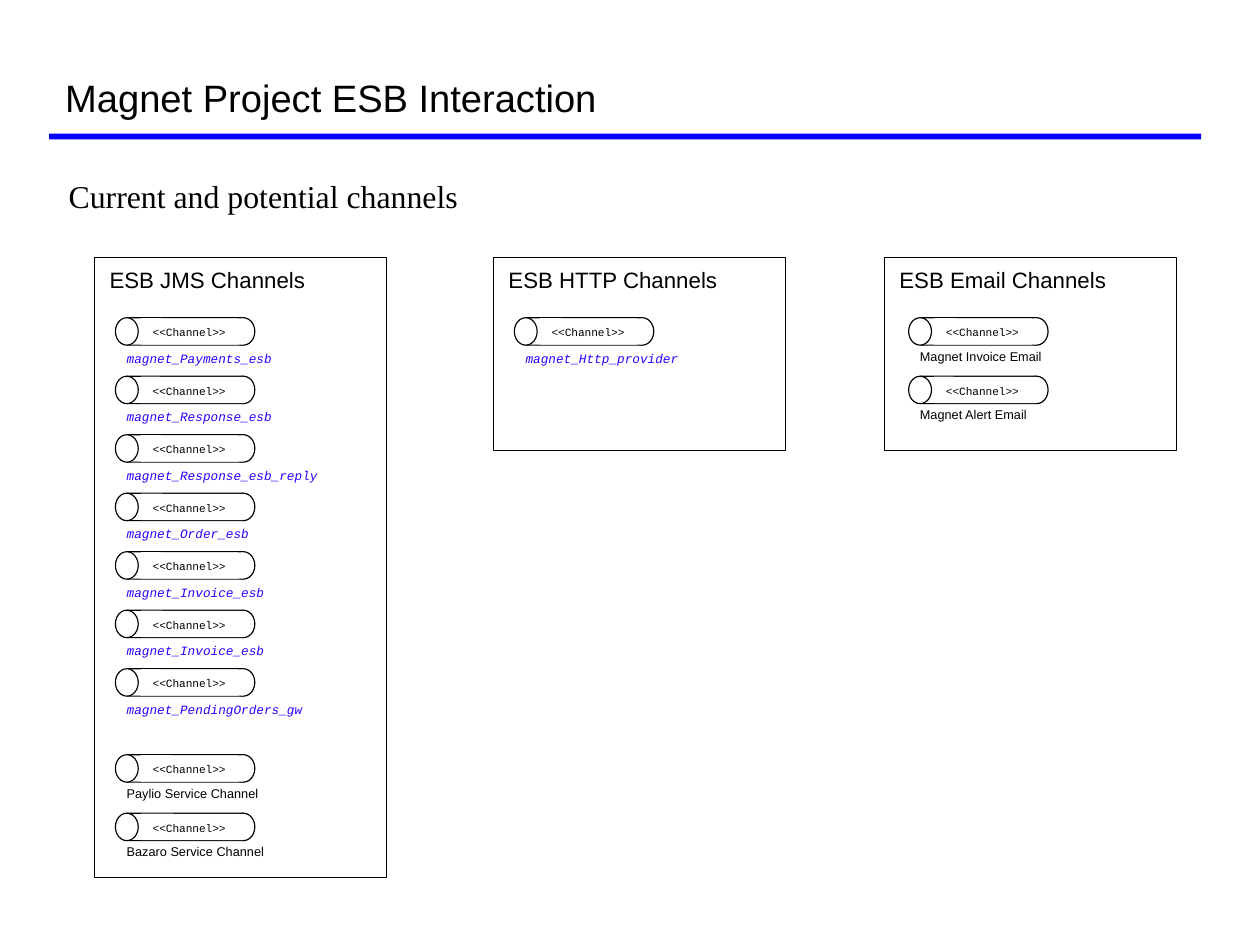
from lxml import etree
from pptx import Presentation
from pptx import util as u
from pptx.dml.color import RGBColor
from pptx.enum import shapes, text
from pptx.oxml.ns import qn

# Content
TITLE = "Magnet Project ESB Interaction"
SUBTITLE = "Current and potential channels"
STEREOTYPE = "<<Channel>>"
# Panel: heading, left, height, channel indent, channels as (row, label, is code)
PANELS = [
    ("ESB JMS Channels", 0.83, 5.43, 0.18, [
        (0, "magnet_Payments_esb", True),
        (1, "magnet_Response_esb", True),
        (2, "magnet_Response_esb_reply", True),
        (3, "magnet_Order_esb", True),
        (4, "magnet_Invoice_esb", True),
        (5, "magnet_Invoice_esb", True),
        (6, "magnet_PendingOrders_gw", True),
        (7.47, "Paylio Service Channel", False),
        (8.47, "Bazaro Service Channel", False),
    ]),
    ("ESB HTTP Channels", 4.32, 1.69, 0.18, [
        (0, "magnet_Http_provider", True),
    ]),
    ("ESB Email Channels", 7.74, 1.69, 0.21, [
        (0, "Magnet Invoice Email", False),
        (1, "Magnet Alert Email", False),
    ]),
]
COLORS = {"ink": "000000", "paper": "FFFFFF", "rule": "0000FF", "code": "2A00FF"}

# Grid: slide and row pitch in centimetres, the rest in inches
SLIDE_W, SLIDE_H = u.Cm(28), u.Cm(21)
ROW_PITCH = u.Cm(1.3).inches
PANEL_TOP, PANEL_W = 2.25, 2.55
FIRST_ROW = PANEL_TOP + 0.53
PIPE_W, PIPE_H, CAP_W = 1.22, 0.24, 0.2
CORNER = 0.02

KIND = shapes.MSO_SHAPE


def color(name):
    return RGBColor.from_string(COLORS[name])


def place(shape, left, top, width, height):
    shape.left, shape.top = u.Inches(left), u.Inches(top)
    shape.width, shape.height = u.Inches(width), u.Inches(height)


def write(shape, words, size, font="Arial", ink="ink", italic=False,
          align=text.PP_ALIGN.LEFT, spacing=None, before=None, wrap=True):
    frame = shape.text_frame
    frame.auto_size = text.MSO_AUTO_SIZE.NONE
    frame.word_wrap = wrap
    frame.vertical_anchor = text.MSO_ANCHOR.TOP
    frame.margin_left = frame.margin_right = u.Inches(0.1)
    frame.margin_top = frame.margin_bottom = u.Inches(0.05)
    line = frame.paragraphs[0]
    line.alignment = align
    if spacing:
        line.line_spacing = spacing
    if before is not None:
        line.space_before = u.Pt(before)
    run = line.add_run()
    run.text = words
    run.font.name, run.font.size = font, u.Pt(size)
    run.font.italic = italic
    run.font.color.rgb = color(ink)
    return line


def text_box(parent, box, words, size, **fmt):
    return write(parent.add_textbox(*map(u.Inches, box)), words, size, **fmt)


def block(parent, kind, box, fill="paper", line=None):
    shape = parent.add_shape(kind, *map(u.Inches, box))
    shape.shadow.inherit = False
    shape.fill.solid()
    shape.fill.fore_color.rgb = color(fill)
    if line is None:
        shape.line.fill.background()
    else:
        shape.line.color.rgb = color("ink")
        shape.line.width = u.Pt(line)
    if kind == KIND.ROUNDED_RECTANGLE:
        shape.adjustments[0] = CORNER
    return shape


def channel(parent, left, top, label, is_code):
    pipe = parent.add_group_shape().shapes
    label_fmt = (dict(font="Courier New", ink="code", italic=True)
                 if is_code else dict(spacing=0.87))
    text_box(pipe, (left, top + 0.24, 2.33, 0.23), label, 8, **label_fmt)
    # Body, two round caps, and a cover hiding the inner half of the right cap
    body_w = PIPE_W - CAP_W
    block(pipe, KIND.ROUNDED_RECTANGLE,
          (left + CAP_W / 2, top, body_w, PIPE_H), line=0.75)
    for cap_left in (left, left + body_w):
        block(pipe, KIND.OVAL, (cap_left, top, CAP_W, PIPE_H), line=0.75)
    block(pipe, KIND.ROUNDED_RECTANGLE,
          (left + 0.22, top + 0.005, 0.9, PIPE_H - 0.01))
    text_box(pipe, (left + 0.18, top + 0.03, 0.93, 0.5), STEREOTYPE, 7,
             font="Courier New", align=text.PP_ALIGN.CENTER, spacing=0.93)


def main():
    prs = Presentation()
    prs.slide_width, prs.slide_height = SLIDE_W, SLIDE_H
    slide = prs.slides.add_slide(prs.slide_layouts[1])
    canvas = slide.shapes

    # Heading
    title, subtitle = slide.placeholders
    block(canvas, KIND.RECTANGLE, (0.43, 1.17, 10.08, 0.05), fill="rule")
    place(title, 0.47, 0.63, 8.81, 0.59)
    write(title, TITLE, 24, spacing=0.95, wrap=False)
    place(subtitle, 0.5, 1.5, 10.07, 0.51)
    line = write(subtitle, SUBTITLE, 20, font="Times New Roman", before=8)
    props = line._p.get_or_add_pPr()
    hang = u.Inches(0.37)
    props.set("marL", str(hang))
    props.set("indent", str(-hang))
    etree.SubElement(props, qn("a:buNone"))

    # Panels with their channels
    for heading, left, height, indent, channels in PANELS:
        block(canvas, KIND.RECTANGLE, (left, PANEL_TOP, PANEL_W, height), line=0)
        text_box(canvas, (left + 0.03, PANEL_TOP + 0.03, 2.48, 0.37), heading, 14)
        for row, label, is_code in channels:
            channel(canvas, left + indent, FIRST_ROW + row * ROW_PITCH,
                    label, is_code)

    prs.save("out.pptx")


if __name__ == "__main__":
    main()
